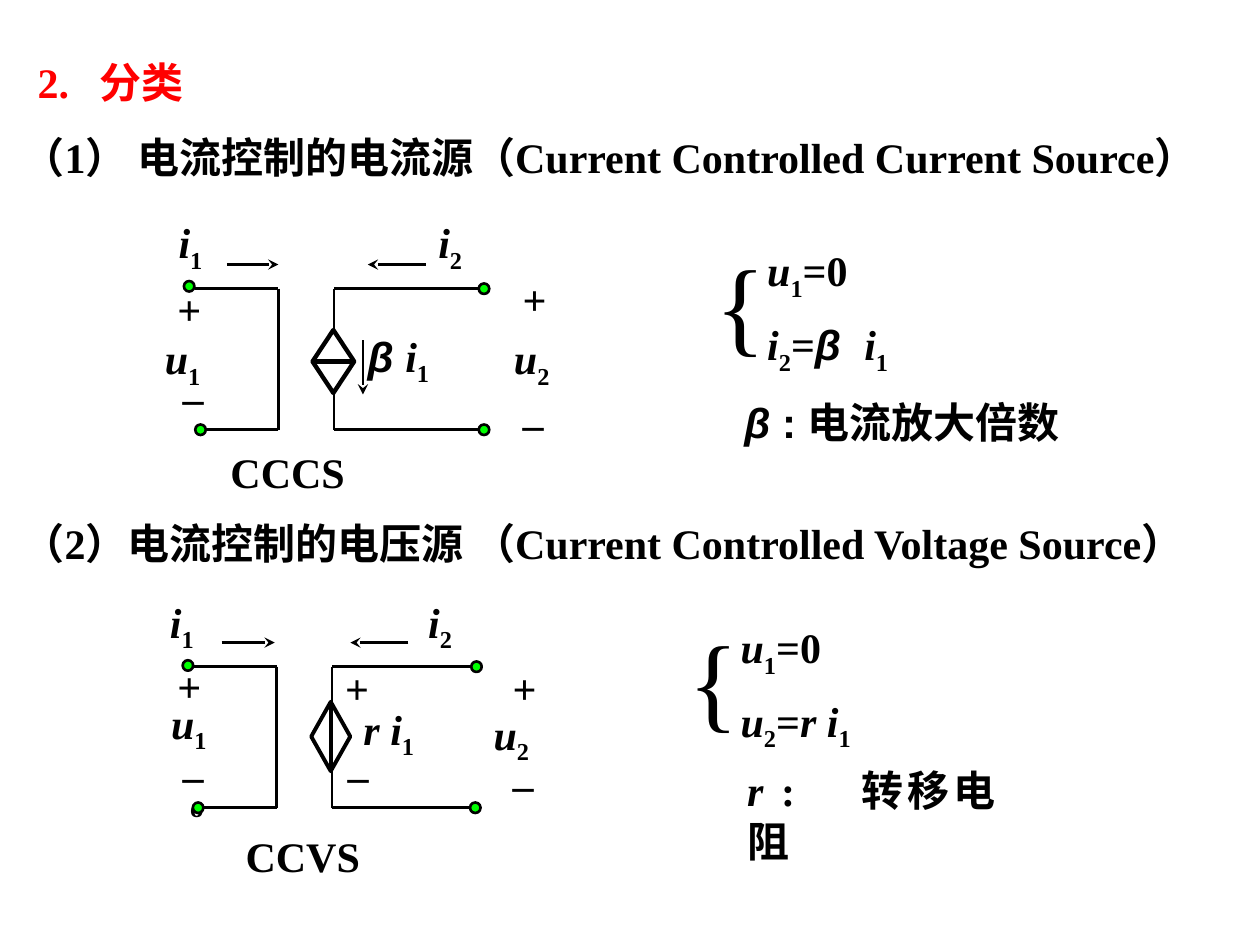
from dataclasses import dataclass

from lxml import etree
from pptx import Presentation
from pptx.dml.color import RGBColor
from pptx.enum.shapes import MSO_CONNECTOR, MSO_SHAPE
from pptx.enum.text import MSO_ANCHOR, MSO_AUTO_SIZE, PP_ALIGN
from pptx.oxml.ns import qn
from pptx.util import Pt

STRAIGHT = MSO_CONNECTOR.STRAIGHT
DIAMOND = MSO_SHAPE.FLOWCHART_SORT
CIRCLE = MSO_SHAPE.OVAL
MIDDLE = MSO_ANCHOR.MIDDLE
GROW = MSO_AUTO_SIZE.SHAPE_TO_FIT_TEXT
JUSTIFY = PP_ALIGN.JUSTIFY


@dataclass(frozen=True)
class Theme:
    ink: RGBColor = RGBColor(0, 0, 0)
    title: RGBColor = RGBColor(255, 0, 0)
    terminal: RGBColor = RGBColor(0, 255, 0)
    serif: str = "Times New Roman"
    sans: str = "Arial"
    body: float = 24
    brace: float = 60
    wire: float = 1.5


THEME = Theme()
LINE_HEIGHT = 36
ITALIC = {"italic": True}
BETA = {"italic": True, "font": THEME.sans}
SUBSCRIPT = {"subscript": True}


# Text
def add_span(para, text, size=THEME.body, font=THEME.serif, color=THEME.ink,
             bold=True, italic=False, subscript=False):
    span = para.add_run()
    span.text = text
    span.font.size = Pt(size)
    span.font.name = font
    span.font.color.rgb = color
    span.font.bold = bold
    span.font.italic = italic
    if subscript:
        span.font._element.set("baseline", "-25000")


def add_text(slide, spans, left, top, width, height=LINE_HEIGHT,
             spacing=None, hanging=0, tabs=()):
    """Spans are pairs of text and format."""
    box = slide.shapes.add_textbox(Pt(left), Pt(top), Pt(width), Pt(height))
    frame = box.text_frame
    frame.word_wrap = True
    frame.auto_size = GROW
    frame.vertical_anchor = MIDDLE
    para = frame.paragraphs[0]
    para.alignment = JUSTIFY
    if spacing:
        para.line_spacing = spacing
    properties = para._p.get_or_add_pPr()
    if hanging:
        properties.set("marL", str(Pt(hanging)))
        properties.set("indent", str(-Pt(hanging)))
    if tabs:
        stops = etree.SubElement(properties, qn("a:tabLst"))
        for position in tabs:
            etree.SubElement(stops, qn("a:tab"), pos=str(Pt(position)), algn="l")
    for text, style in spans:
        add_span(para, text, **style)


def variable(name, index):
    return [(name, ITALIC), (index, SUBSCRIPT)]


# Circuit elements
def add_wire(slide, start, end, arrow=False):
    wire = slide.shapes.add_connector(STRAIGHT, *map(Pt, start + end))
    wire.line.color.rgb = THEME.ink
    wire.line.width = Pt(THEME.wire)
    if arrow:
        etree.SubElement(wire.line._get_or_add_ln(), qn("a:tailEnd"), type="stealth")
    etree.SubElement(wire._element.spPr, qn("a:effectLst"))


def add_outline(slide, kind, left, top, width, height, weight, fill=None, rotation=0):
    shape = slide.shapes.add_shape(kind, Pt(left), Pt(top), Pt(width), Pt(height))
    shape.shadow.inherit = False
    shape.rotation = rotation
    shape.line.color.rgb = THEME.ink
    shape.line.width = Pt(weight)
    if fill is None:
        shape.fill.background()
    else:
        shape.fill.solid()
        shape.fill.fore_color.rgb = fill


def add_two_port(slide, x, y, arrows, terminals, labels):
    """Draw the input loop, output loop, current arrows, terminals and labels."""
    port, inner, source, output = x, x + 47.6, x + 79.3, x + 163.4
    bottom = y + 80.6
    loops = (
        [(port, y), (inner, y), (inner, bottom), (port, bottom)],
        [(output, y), (source, y), (source, y + 23.8)],
        [(source, y + 59.7), (source, bottom), (output, bottom)],
    )
    for loop in loops:
        for start, end in zip(loop, loop[1:]):
            add_wire(slide, start, end)
    for start, end in arrows:
        add_wire(slide, start, end, arrow=True)
    for spans, *place in labels:
        add_text(slide, spans, *place)
    for left, top in terminals:
        add_outline(slide, CIRCLE, left, top, 6, 6, THEME.wire, THEME.terminal)


def add_equations(slide, left, top, second, tabs=()):
    """Brace with u1=0 above the second equation."""
    brace = [("{", {"size": THEME.brace, "bold": False})]
    add_text(slide, brace, left, top, 58.3, 79.2)
    add_text(slide, variable("u", "1") + [("=0", {})], left + 29.5, top + 5.8, 84)
    add_text(slide, second, left + 29.5, top + 47.9, 90, tabs=tabs)


def main():
    deck = Presentation()
    deck.slide_width, deck.slide_height = Pt(720), Pt(540)
    slide = deck.slides.add_slide(deck.slide_layouts[6])
    plus, minus = [("+", {})], [("_", {})]

    # Headings
    add_text(slide, [("2.\t分类", {"color": THEME.title})], 14.4, 23, 152, 41.8,
             spacing=1.2, hanging=35.5)
    add_text(slide, [("（1） 电流控制的电流源（Current Controlled Current Source）", {})],
             5.8, 71.3, 700.6)
    add_text(slide, [("（2）电流控制的电压源 （Current Controlled Voltage Source）", {})],
             5.8, 292.3, 686.2)

    # Current-controlled current source
    add_outline(slide, DIAMOND, 178.6, 188.6, 23.8, 36, 2.5)
    add_two_port(
        slide, 111.5, 164.9,
        arrows=[((129.6, 151.2), (159.1, 151.2)), ((243.4, 151.2), (210.2, 151.2)),
                ((207.4, 194.4), (207.4, 225.4))],
        terminals=[(105.1, 160.6), (111.6, 242.6), (273.6, 162), (273.6, 242.6)],
        labels=[
            (variable("i", "1"), 95, 122.4, 43.2),
            (variable("i", "2"), 243.4, 122.4, 36),
            (variable("u", "1"), 87.1, 188.6, 40.3),
            (variable("u", "2"), 286.6, 188.6, 40.3),
            ([("β ", BETA)] + variable("i", "1"), 203, 187.2, 61.9),
            (plus, 94.3, 158.4, 23.8),
            (minus, 97.2, 200.9, 18),
            (plus, 291.6, 152.6, 23.8),
            (minus, 291.6, 215.3, 28.8),
            ([("CCCS", {})], 124.6, 251.3, 102.2),
        ])
    add_equations(slide, 401.8, 132.5,
                  variable("i", "2") + [("=", {}), ("β\t", BETA)] + variable("i", "1"),
                  tabs=[55.5])
    add_text(slide, [("β ", BETA), (": ", {"font": THEME.sans}), ("电流放大倍数", {})],
             418.3, 223.2, 226.1)

    # Current-controlled voltage source
    add_outline(slide, DIAMOND, 169.2, 409.7, 39.6, 22.3, 2.25, rotation=270)
    add_two_port(
        slide, 110.5, 380.9,
        arrows=[((126.7, 367.2), (157, 367.2)), ((233.3, 367.2), (200.2, 367.2))],
        terminals=[(104.4, 377.3), (110.2, 458.6), (269.3, 378), (268.6, 458.6)],
        labels=[
            (variable("i", "1"), 90, 339.1, 43.2),
            (variable("i", "2"), 237.6, 339.1, 36),
            (variable("u", "1"), 90.7, 396.7, 40.3),
            (variable("u", "2"), 275, 403.2, 40.3),
            (variable("r i", "1"), 200.6, 400.3, 56),
            (plus, 94.3, 373.7, 18),
            (minus, 97.2, 416.9, 18),
            (plus, 190.1, 375.1, 18),
            (minus, 191.5, 416.9, 18),
            (plus, 285.8, 375.1, 18),
            (minus, 285.8, 421.9, 18),
            ([("º", {})], 101.5, 448.6, 14.4),
            ([("CCVS", {})], 133.2, 470.9, 102.2),
        ])
    add_equations(slide, 386.6, 347.8,
                  variable("u", "2") + [("=", {})] + variable("r i", "1"))
    add_text(slide, [("r", ITALIC), ("\t:\t转移电阻", {})], 419.8, 447.8, 156.2,
             tabs=[19.5, 63])

    deck.save("out.pptx")


if __name__ == "__main__":
    main()
